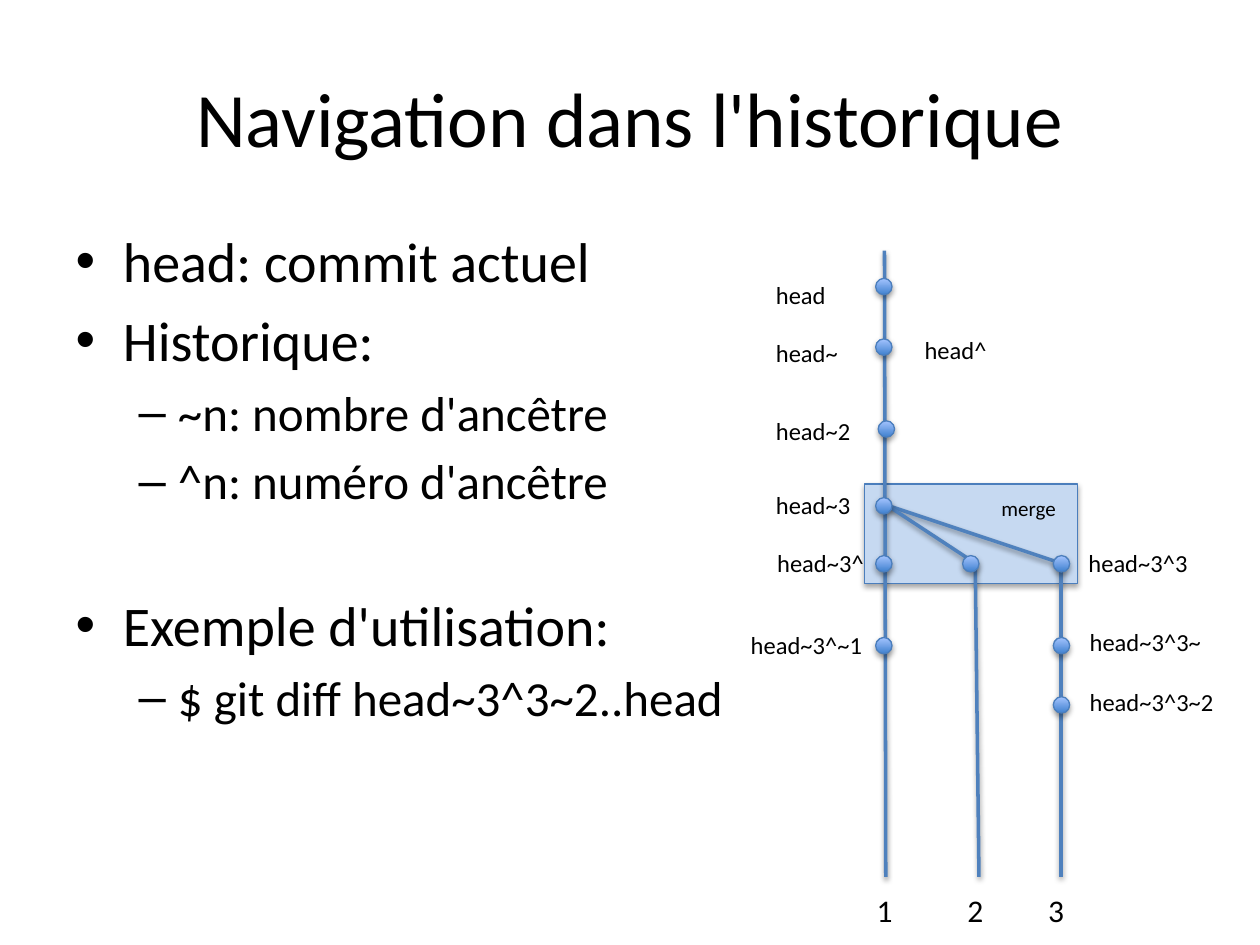
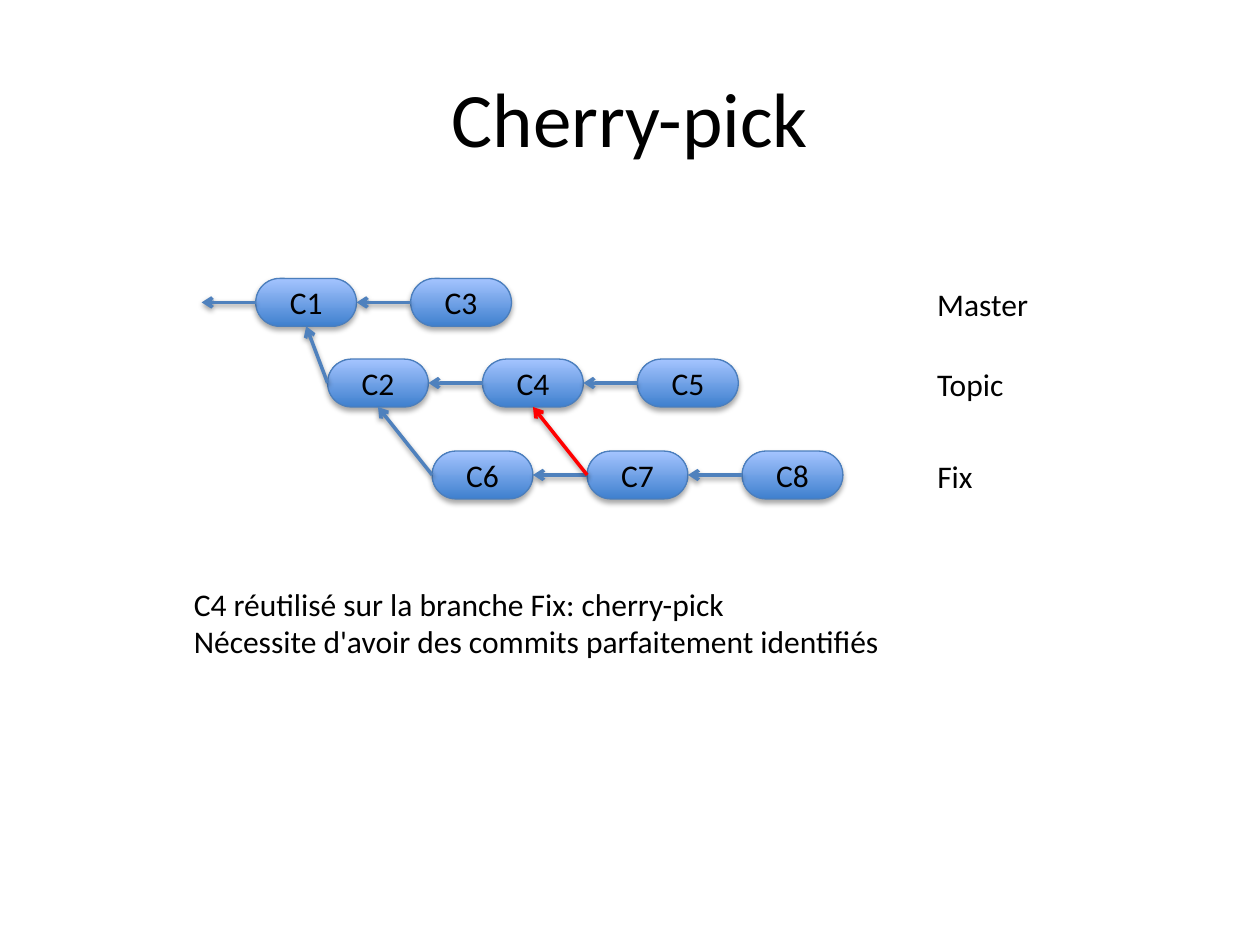
from lxml import etree
from pptx import Presentation
from pptx.dml.color import RGBColor
from pptx.enum.shapes import MSO_CONNECTOR, MSO_SHAPE
from pptx.enum.text import MSO_ANCHOR, MSO_AUTO_SIZE, PP_ALIGN
from pptx.oxml.ns import qn
from pptx.util import Inches, Pt

FONT = "Calibri"
BLACK = RGBColor(0x00, 0x00, 0x00)
BRANCH_BLUE = RGBColor(0x4F, 0x81, 0xBD)
OUTLINE_BLUE = RGBColor(0x4B, 0x7E, 0xBC)
NODE_DARK = RGBColor(0x3F, 0x80, 0xCE)
NODE_LIGHT = RGBColor(0xA4, 0xC4, 0xFF)
MERGE_FILL = RGBColor(0xC6, 0xD9, 0xF1)
PICK_RED = RGBColor(0xFF, 0x00, 0x00)

TITLE_ONLY, TITLE_AND_BODY = 5, 1
TOP, LEFT, BOTTOM, RIGHT = range(4)
DOT = 0.13
COMMIT_WIDTH, COMMIT_HEIGHT, COMMIT_STEP = 0.8, 0.38, 1.23


def write_text(paragraph, text, *, size, align=None, level=0, space_before=None):
    run = paragraph.add_run()
    run.text = text
    run.font.name = FONT
    run.font.size = Pt(size)
    run.font.color.rgb = BLACK
    paragraph.level = level
    if align is not None:
        paragraph.alignment = align
    if space_before is not None:
        paragraph.space_before = Pt(space_before)


def next_paragraph(frame, index):
    return frame.add_paragraph() if index else frame.paragraphs[0]


def place(placeholder, left, top, width, height):
    placeholder.left, placeholder.top = Inches(left), Inches(top)
    placeholder.width, placeholder.height = Inches(width), Inches(height)


def add_titled_slide(deck, layout, heading):
    slide = deck.slides.add_slide(deck.slide_layouts[layout])
    title = slide.shapes.title
    place(title, 0.5, 0.3, 9, 1.25)
    title.text_frame.vertical_anchor = MSO_ANCHOR.MIDDLE
    write_text(title.text_frame.paragraphs[0], heading, size=44, align=PP_ALIGN.CENTER)
    return slide


def add_bullets(slide, bullets):
    body = slide.placeholders[1]
    place(body, 0.5, 1.75, 9, 4.95)
    for index, (text, level, space_before) in enumerate(bullets):
        write_text(next_paragraph(body.text_frame, index), text,
                   size=(32, 28)[level], level=level, space_before=space_before)


def cast_shadow(shape, opacity, distance):
    effects = etree.SubElement(shape._element.spPr, qn("a:effectLst"))
    shadow = etree.SubElement(effects, qn("a:outerShdw"), blurRad=str(Pt(3.1)),
                              dist=str(Pt(distance)), dir="5400000", rotWithShape="0")
    black = etree.SubElement(shadow, qn("a:srgbClr"), val="000000")
    etree.SubElement(black, qn("a:alpha"), val=str(opacity * 1000))


def add_block(slide, kind, left, top, width, height, fill=None):
    block = slide.shapes.add_shape(kind, Inches(left), Inches(top), Inches(width), Inches(height))
    if fill is None:
        block.fill.gradient()
        block.fill.gradient_angle = 90
        for stop, color, position in zip(block.fill.gradient_stops, (NODE_DARK, NODE_LIGHT), (0, 1)):
            stop.color.rgb = color
            stop.position = position
    else:
        block.fill.solid()
        block.fill.fore_color.rgb = fill
    block.line.color.rgb = OUTLINE_BLUE
    block.line.width = Pt(0.75)
    cast_shadow(block, 35, 1.8)
    return block


def add_branch(slide, start=(0, 0), end=(0, 0), color=BRANCH_BLUE):
    branch = slide.shapes.add_connector(MSO_CONNECTOR.STRAIGHT, *map(Inches, start + end))
    branch.line.color.rgb = color
    branch.line.width = Pt(2)
    cast_shadow(branch, 38, 1.6)
    return branch


def add_arrow(slide, child, parent=None, site=RIGHT, color=BRANCH_BLUE, end=(0, 0)):
    arrow = add_branch(slide, end=end, color=color)
    arrow.begin_connect(child, LEFT)
    if parent is not None:
        arrow.end_connect(parent, site)
    etree.SubElement(arrow._element.spPr.find(qn("a:ln")), qn("a:tailEnd"), type="arrow")


def add_label(slide, lines, left, top, width, height, size):
    label = slide.shapes.add_textbox(Inches(left), Inches(top), Inches(width), Inches(height))
    frame = label.text_frame
    frame.word_wrap = False
    frame.auto_size = MSO_AUTO_SIZE.SHAPE_TO_FIT_TEXT
    for index, line in enumerate(lines):
        write_text(next_paragraph(frame, index), line, size=size)


def add_commit(slide, name, left, top):
    commit = add_block(slide, MSO_SHAPE.ROUNDED_RECTANGLE, left, top, COMMIT_WIDTH, COMMIT_HEIGHT)
    commit.adjustments[0] = 0.5
    commit.text_frame.vertical_anchor = MSO_ANCHOR.MIDDLE
    write_text(commit.text_frame.paragraphs[0], name, size=18, align=PP_ALIGN.CENTER)
    return commit


def build_history(deck):
    slide = add_titled_slide(deck, TITLE_AND_BODY, "Navigation dans l'historique")
    add_bullets(slide, [
        ("head: commit actuel", 0, None),
        ("Historique:", 0, None),
        ("~n: nombre d'ancêtre", 1, None),
        ("^n: numéro d'ancêtre", 1, None),
        ("Exemple d'utilisation:", 0, 46),
        ("$ git diff head~3^3~2..head", 1, None),
    ])
    add_block(slide, MSO_SHAPE.RECTANGLE, 6.86, 3.84, 1.69, 0.79, MERGE_FILL)

    merge_point, second_parent, third_parent = (7.04, 4.01), (7.74, 4.47), (8.42, 4.47)
    for start, end in [((7.02, 1.99), (7.03, 6.96)), (merge_point, third_parent),
                       (third_parent, (8.42, 6.96)), (second_parent, (7.77, 6.96)),
                       (merge_point, second_parent)]:
        add_branch(slide, start, end)

    dot_columns = {6.95: (2.21, 2.69, 3.95, 4.41, 5.06), 6.97: (3.34,),
                   7.64: (4.41,), 8.36: (4.41, 5.06, 5.53)}
    for left, tops in dot_columns.items():
        for top in tops:
            add_block(slide, MSO_SHAPE.OVAL, left, top, DOT, DOT)

    for name, left, top, width in [
        ("head", 6.06, 2.17, 0.6), ("head~", 6.06, 2.63, 0.7), ("head^", 7.24, 2.61, 0.7),
        ("head~2", 6.06, 3.25, 0.8), ("head~3", 6.06, 3.84, 0.8),
        ("head~3^", 6.07, 4.3, 0.9), ("head~3^~1", 5.86, 4.95, 1.09),
        ("head~3^3", 8.54, 4.3, 0.99), ("head~3^3~", 8.55, 4.93, 1.09),
        ("head~3^3~2", 8.55, 5.4, 1.19),
    ]:
        add_label(slide, [name], left, top, width, 0.34, 14)
    add_label(slide, ["merge"], 7.85, 3.88, 0.64, 0.3, 12)
    for number, left in enumerate((6.86, 7.58, 8.22), start=1):
        add_label(slide, [str(number)], left, 7.02, 0.33, 0.4, 18)


def build_cherry_pick(deck):
    slide = add_titled_slide(deck, TITLE_ONLY, "Cherry-pick")
    commits = {}
    for branch, label_width, first_left, top, names in [
        ("Master", 0.93, 2.03, 2.21, ("C1", "C3")),
        ("Topic", 0.73, 2.6, 2.85, ("C2", "C4", "C5")),
        ("Fix", 0.49, 3.43, 3.58, ("C6", "C7", "C8")),
    ]:
        add_label(slide, [branch], 7.34, top, label_width, 0.4, 18)
        for index, name in enumerate(names):
            commits[name] = add_commit(slide, name, first_left + index * COMMIT_STEP, top)
        for parent, child in zip(names, names[1:]):
            add_arrow(slide, commits[child], commits[parent])

    add_arrow(slide, commits["C1"], end=(1.6, 2.4))
    add_arrow(slide, commits["C2"], commits["C1"], BOTTOM)
    add_arrow(slide, commits["C6"], commits["C2"], BOTTOM)
    add_arrow(slide, commits["C7"], commits["C4"], BOTTOM, PICK_RED)
    add_label(slide, ["C4 réutilisé sur la branche Fix: cherry-pick",
                      "Nécessite d'avoir des commits parfaitement identifiés"],
              1.44, 4.59, 5.7, 0.71, 18)


def main():
    deck = Presentation()
    deck.slide_width, deck.slide_height = Inches(10), Inches(7.5)
    build_history(deck)
    build_cherry_pick(deck)
    deck.save("out.pptx")


if __name__ == "__main__":
    main()
